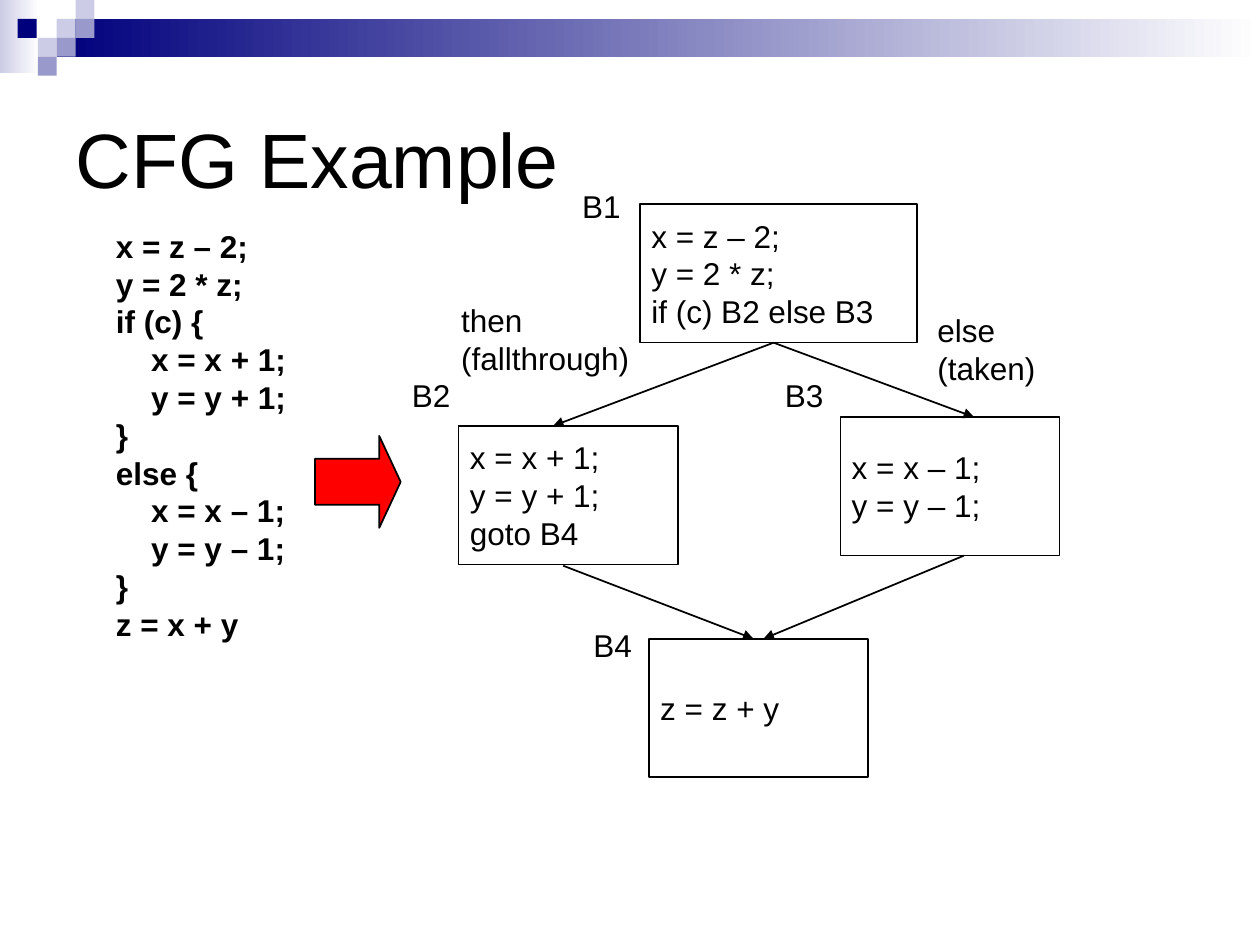
from lxml.etree import SubElement
from pptx import Presentation
from pptx.dml.color import RGBColor
from pptx.enum.shapes import MSO_CONNECTOR, MSO_SHAPE
from pptx.enum.text import MSO_ANCHOR, PP_ALIGN
from pptx.oxml.ns import qn
from pptx.util import Inches, Pt

BLACK = RGBColor(0x00, 0x00, 0x00)
WHITE = RGBColor(0xFF, 0xFF, 0xFF)
RED = RGBColor(0xFF, 0x00, 0x00)
NAVY = RGBColor(0x00, 0x00, 0x7D)
LAVENDER = RGBColor(0xCC, 0xCC, 0xE6)
PERIWINKLE = RGBColor(0x99, 0x99, 0xCC)

FONT = "Arial"
TILE = 0.15
CODE_INDENT = 0.28

BANDS = [  # left, top, width, height, starting colour
    (0, 0, 0.31, 0.58, LAVENDER),
    (0.45, 0.15, 9.55, 0.3, NAVY),
]
TILES = [  # left, top, colour
    (0.45, 0.15, LAVENDER),
    (0.6, 0, LAVENDER),
    (0.6, 0.15, PERIWINKLE),
    (0.3, 0.3, LAVENDER),
    (0.14, 0.15, NAVY),
    (0.45, 0.3, PERIWINKLE),
    (0.3, 0.45, PERIWINKLE),
]

SOURCE_CODE = [  # nesting level, statement
    (0, "x = z – 2;"),
    (0, "y = 2 * z;"),
    (0, "if (c) {"),
    (1, "x = x + 1;"),
    (1, "y = y + 1;"),
    (0, "}"),
    (0, "else {"),
    (1, "x = x – 1;"),
    (1, "y = y – 1;"),
    (0, "}"),
    (0, "z = x + y"),
]
BASIC_BLOCKS = [  # left, top, width, statements
    (5.08, 1.62, 2.2, ["x = z – 2;", "y = 2 * z;", "if (c) B2 else B3"]),
    (3.64, 3.38, 1.74, ["x = x + 1;", "y = y + 1;", "goto B4"]),
    (5.15, 5.07, 1.74, ["z = z + y"]),
    (6.67, 3.31, 1.74, ["x = x – 1;", "y = y – 1;"]),
]
BLOCK_HEIGHT = 1.1
EDGES = [  # start x, start y, end x, end y
    (6.14, 2.72, 4.39, 3.38),
    (6.14, 2.72, 7.73, 3.31),
    (4.47, 4.49, 5.98, 5.07),
    (7.65, 4.41, 6.06, 5.07),
]
LABELS = [  # left, top, width, height, lines
    (3.57, 2.35, 1.55, 0.69, ["then", "(fallthrough)"]),
    (7.35, 2.43, 0.98, 0.69, ["else", "(taken)"]),
    (4.53, 1.44, 0.5, 0.39, ["B1"]),
    (3.18, 2.94, 0.5, 0.39, ["B2"]),
    (6.14, 2.94, 0.5, 0.39, ["B3"]),
    (4.62, 4.93, 0.5, 0.39, ["B4"]),
]


def add_run(paragraph, text, size=18, bold=False):
    run = paragraph.add_run()
    run.text = text
    run.font.name = FONT
    run.font.size = Pt(size)
    run.font.bold = bold
    run.font.color.rgb = BLACK


def write_lines(frame, lines, bold=False, wrap=True, anchor=MSO_ANCHOR.TOP):
    """Fill a text frame with (nesting level, text) lines, one paragraph each."""
    frame.word_wrap = wrap
    frame.vertical_anchor = anchor
    frame.margin_left = frame.margin_right = Inches(0.09)
    frame.margin_top = frame.margin_bottom = Inches(0.04)
    for number, (level, text) in enumerate(lines):
        paragraph = frame.add_paragraph() if number else frame.paragraphs[0]
        paragraph.alignment = PP_ALIGN.LEFT
        if level:
            properties = paragraph._p.get_or_add_pPr()
            properties.set("marL", str(Inches(level * CODE_INDENT)))
        add_run(paragraph, text, bold=bold)


def unnested(lines):
    return [(0, line) for line in lines]


def add_outline(line):
    line.color.rgb = BLACK
    line.width = Pt(1)


def add_plain_shape(slide, kind, left, top, width, height):
    """Add a preset shape with no shadow, fill or line."""
    shape = slide.shapes.add_shape(
        kind, Inches(left), Inches(top), Inches(width), Inches(height))
    shape.shadow.inherit = False
    shape.fill.background()
    shape.line.fill.background()
    return shape


def add_band(slide, left, top, width, height, start_color):
    """Add a header band that fades to white on the right."""
    band = add_plain_shape(slide, MSO_SHAPE.RECTANGLE, left, top, width, height)
    band.fill.gradient()
    band.fill.gradient_angle = 0
    for stop, color in zip(band.fill.gradient_stops, (start_color, WHITE)):
        stop.color.rgb = color


def add_tile(slide, left, top, color):
    tile = add_plain_shape(slide, MSO_SHAPE.RECTANGLE, left, top, TILE, TILE)
    tile.fill.solid()
    tile.fill.fore_color.rgb = color


def add_title(slide, text):
    title = slide.shapes.title
    title.left, title.top = Inches(0.5), Inches(0.5)
    title.width, title.height = Inches(9), Inches(1.5)
    title.text_frame.vertical_anchor = MSO_ANCHOR.MIDDLE
    paragraph = title.text_frame.paragraphs[0]
    paragraph.alignment = PP_ALIGN.LEFT
    add_run(paragraph, text, size=44)


def add_text(slide, left, top, width, height, lines, **style):
    box = slide.shapes.add_textbox(
        Inches(left), Inches(top), Inches(width), Inches(height))
    write_lines(box.text_frame, lines, **style)


def add_basic_block(slide, left, top, width, statements):
    block = add_plain_shape(
        slide, MSO_SHAPE.RECTANGLE, left, top, width, BLOCK_HEIGHT)
    add_outline(block.line)
    write_lines(block.text_frame, unnested(statements), anchor=MSO_ANCHOR.MIDDLE)


def add_edge(slide, *ends):
    edge = slide.shapes.add_connector(
        MSO_CONNECTOR.STRAIGHT, *(Inches(end) for end in ends))
    add_outline(edge.line)
    SubElement(edge.line._get_or_add_ln(), qn("a:tailEnd"), type="triangle")
    SubElement(edge._element.spPr, qn("a:effectLst"))


def add_translation_arrow(slide):
    """Add the red arrow leading from the code to its flow graph."""
    arrow = add_plain_shape(slide, MSO_SHAPE.RIGHT_ARROW, 2.5, 3.46, 0.68, 0.73)
    arrow.adjustments[0] = 0.5
    arrow.adjustments[1] = 0.25
    arrow.fill.solid()
    arrow.fill.fore_color.rgb = RED
    add_outline(arrow.line)


def main():
    presentation = Presentation()
    presentation.slide_width = Inches(10)
    presentation.slide_height = Inches(7.5)
    slide = presentation.slides.add_slide(presentation.slide_layouts[5])

    for band in BANDS:
        add_band(slide, *band)
    for tile in TILES:
        add_tile(slide, *tile)
    add_title(slide, "CFG Example")
    add_text(slide, 0.83, 1.76, 2.67, 3.39, SOURCE_CODE, bold=True)
    for block in BASIC_BLOCKS:
        add_basic_block(slide, *block)
    for edge in EDGES:
        add_edge(slide, *edge)
    for *place, lines in LABELS:
        add_text(slide, *place, unnested(lines), wrap=False)
    add_translation_arrow(slide)

    presentation.save("out.pptx")


if __name__ == "__main__":
    main()
